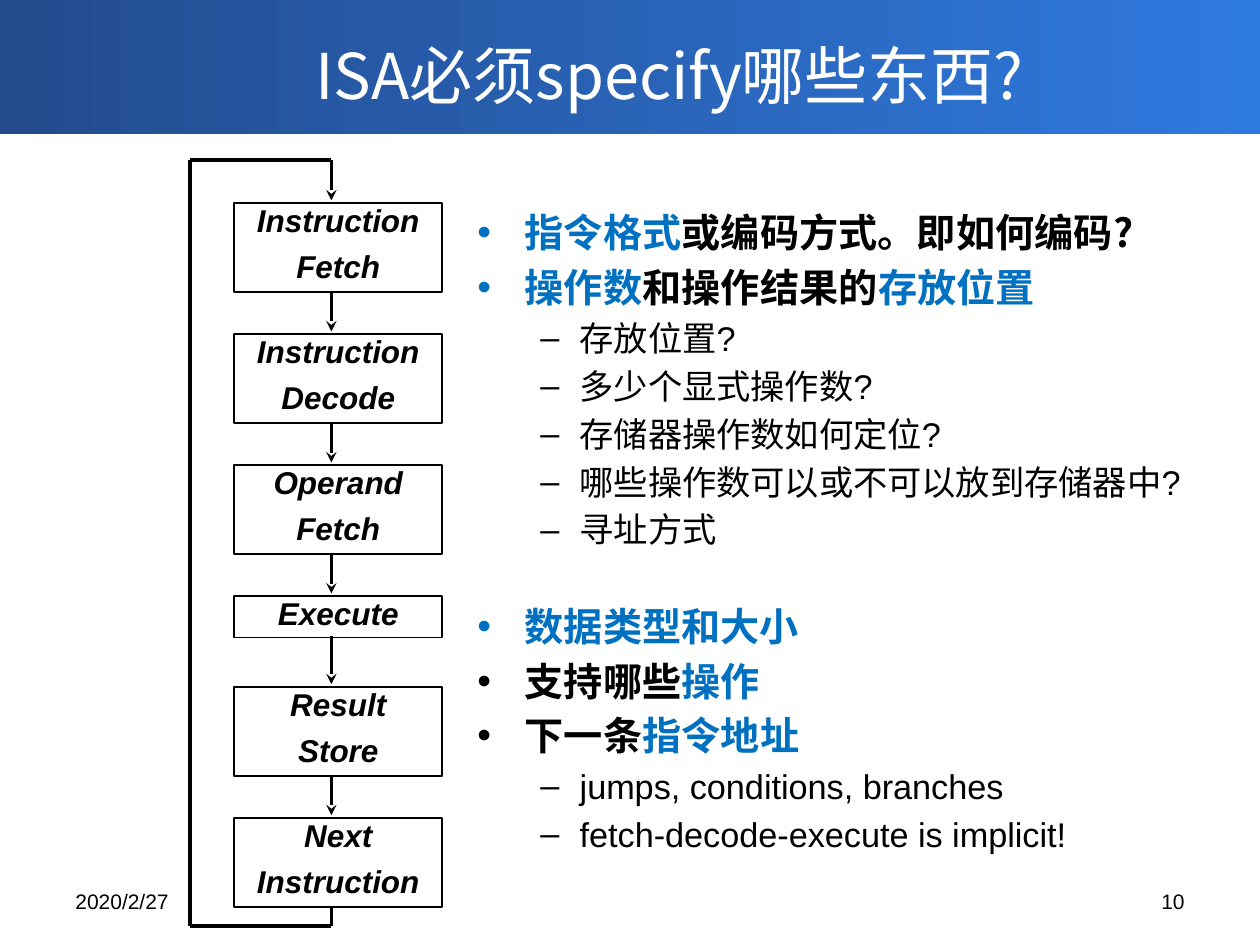
from itertools import pairwise

from lxml.etree import SubElement
from pptx import Presentation
from pptx.dml.color import RGBColor
from pptx.enum.shapes import MSO_CONNECTOR, MSO_SHAPE
from pptx.enum.text import MSO_ANCHOR as Anchor, PP_ALIGN as Align
from pptx.oxml.ns import qn
from pptx.util import Pt

SANS, CJK = "Arial", "Noto Sans CJK SC"
BLACK, WHITE, BLUE = "000000", "FFFFFF", "0070C0"
BOX_LEFT, BOX_WIDTH = 133.92, 118.8
FLOW_X, LOOP_X = 189.36, 108.72
LOOP_TOP, LOOP_BOTTOM = 91.44, 529.2
STEPS = [
    (115.92, ["Instruction", "Fetch"]),
    (190.8, ["Instruction", "Decode"]),
    (265.68, ["Operand", "Fetch"]),
    (340.56, ["Execute"]),
    (392.4, ["Result", "Store"]),
    (467.28, ["Next", "Instruction"]),
]
TOPICS = [
    ([("指令格式", BLUE), ("或编码方式。即如何编码?", BLACK)], []),
    ([("操作数", BLUE), ("和操作结果的", BLACK), ("存放位置", BLUE)],
     ["存放位置?", "多少个显式操作数?", "存储器操作数如何定位?",
      "哪些操作数可以或不可以放到存储器中?", "寻址方式"]),
    ([("数据类型和大小", BLUE)], []),
    ([("支持哪些", BLACK), ("操作", BLUE)], []),
    ([("下一条", BLACK), ("指令地址", BLUE)],
     ["jumps, conditions, branches", "fetch-decode-execute is implicit!"]),
]
GROUP_START = 2


def color(value):
    """Turn a hex string into a colour."""
    return RGBColor.from_string(value)


def style(span, size, name, value, bold=False, italic=False):
    """Format one run, with the CJK face for East Asian text."""
    font = span.font
    font.size, font.name = Pt(size), name
    font.bold, font.italic = bold, italic
    font.color.rgb = color(value)
    SubElement(span.font._element, qn("a:ea")).set("typeface", CJK)


def add_banner(page):
    """Draw the gradient band behind the title."""
    band = page.shapes.add_shape(MSO_SHAPE.RECTANGLE, 0, 0, Pt(720), Pt(76.8))
    band.shadow.inherit = False
    band.line.fill.background()
    band.fill.gradient()
    band.fill.gradient_angle = 0
    for stop, (position, value) in zip(band.fill.gradient_stops, [(0, "234B8D"), (1, "2F7ADF")]):
        stop.position, stop.color.rgb = position, color(value)


def add_label(page, area, text, size, name, value, align):
    """Add a single line of vertically centred text."""
    box = page.shapes.add_textbox(*map(Pt, area))
    frame = box.text_frame
    frame.word_wrap, frame.vertical_anchor = True, Anchor.MIDDLE
    frame.text = text
    para = frame.paragraphs[0]
    para.alignment = align
    style(para.runs[0], size, name, value)


def add_step(page, top, height, words):
    """Add one outlined box of the instruction cycle."""
    box = page.shapes.add_shape(
        MSO_SHAPE.RECTANGLE, Pt(BOX_LEFT), Pt(top), Pt(BOX_WIDTH), Pt(height))
    box.shadow.inherit = False
    box.fill.background()
    box.line.color.rgb, box.line.width = color(BLACK), Pt(1)
    frame = box.text_frame
    frame.margin_left = frame.margin_right = Pt(5)
    frame.margin_top = frame.margin_bottom = Pt(2)
    frame.vertical_anchor = Anchor.TOP
    frame.text = "\n".join(words)
    for index, para in enumerate(frame.paragraphs):
        para.alignment, para.line_spacing = Align.CENTER, 0.86
        para.space_before = Pt(7.9 if index else 0)
        style(para.runs[0], 18, SANS, BLACK, bold=True, italic=True)


def add_line(page, start, end, arrow=False):
    """Add a straight line, with an arrowhead at its end if asked."""
    line = page.shapes.add_connector(MSO_CONNECTOR.STRAIGHT, *map(Pt, start + end))
    line.line.color.rgb, line.line.width = color(BLACK), Pt(2)
    if arrow:
        SubElement(line.line._get_or_add_ln(), qn("a:tailEnd")).set("type", "stealth")
    SubElement(line._element.spPr, qn("a:effectLst"))


def add_cycle(page):
    """Draw the steps, the arrows between them and the return loop."""
    spans = [(top, 51.12 if len(words) > 1 else 23.76) for top, words in STEPS]
    for (top, height), (_, words) in zip(spans, STEPS):
        add_step(page, top, height, words)
    for (top, height), (following, _) in pairwise(spans):
        add_line(page, (FLOW_X, top + height - 0.7), (FLOW_X, following - 1.44), arrow=True)
    loop = [(FLOW_X, sum(spans[-1]) - 0.7), (FLOW_X, LOOP_BOTTOM), (LOOP_X, LOOP_BOTTOM),
            (LOOP_X, LOOP_TOP), (FLOW_X, LOOP_TOP)]
    for start, end in pairwise(loop):
        add_line(page, start, end)
    add_line(page, loop[-1], (FLOW_X, spans[0][0] - 1.44), arrow=True)


def set_bullet(para, mark, left, hang):
    """Give a paragraph a bullet character and a hanging indent."""
    properties = para._p.get_or_add_pPr()
    properties.set("marL", str(Pt(left)))
    properties.set("indent", str(-Pt(hang)))
    SubElement(properties, qn("a:buFont")).set("typeface", SANS)
    SubElement(properties, qn("a:buChar")).set("char", mark)


def add_topics(page):
    """Add the two-level list of what must be specified."""
    box = page.shapes.add_textbox(Pt(265.68), Pt(115.92), Pt(421), Pt(397.44))
    frame = box.text_frame
    frame.word_wrap, frame.margin_right = True, 0
    paras = [frame.paragraphs[0]]
    for index, (heading, details) in enumerate(TOPICS):
        para = paras.pop() if paras else frame.add_paragraph()
        para.line_spacing = Pt(26.6)
        para.space_before = Pt(30.5 if index == GROUP_START else 4.5)
        set_bullet(para, "•", 27, 27)
        for text, value in heading:
            span = para.add_run()
            span.text = text
            style(span, 22.4, CJK, value, bold=True)
        for text in details:
            para = frame.add_paragraph()
            para.text, para.level = text, 1
            para.line_spacing, para.space_before = Pt(23.5), Pt(3.9)
            set_bullet(para, "–", 58.5, 22.5)
            style(para.runs[0], 19.6, SANS, BLACK)


def main():
    """Build the slide and save the deck."""
    deck = Presentation()
    deck.slide_width, deck.slide_height = Pt(720), Pt(540)
    page = deck.slides.add_slide(deck.slide_layouts[6])
    add_banner(page)
    add_label(page, (81.36, 11.52, 602.64, 61.92), "ISA必须specify哪些东西?",
              36, CJK, WHITE, Align.CENTER)
    add_topics(page)
    add_label(page, (36, 500.4, 168, 28.8), "2020/2/27", 12, SANS, BLACK, Align.LEFT)
    add_label(page, (516, 500.4, 168, 28.8), "10", 12, SANS, BLACK, Align.RIGHT)
    add_cycle(page)
    deck.save("out.pptx")


if __name__ == "__main__":
    main()
